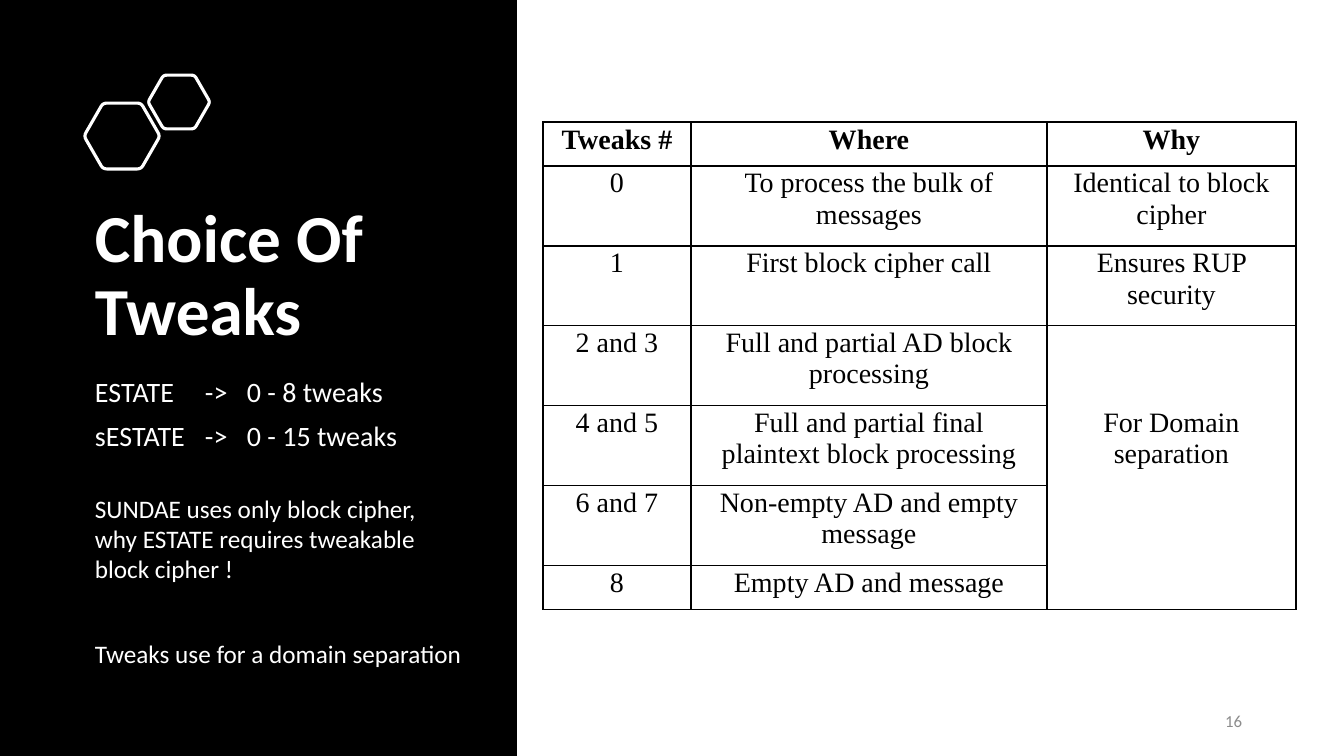
from dataclasses import dataclass
from math import cos, pi, sin

from lxml import etree
from pptx import Presentation
from pptx.dml.color import RGBColor
from pptx.enum.shapes import MSO_SHAPE
from pptx.enum.text import MSO_ANCHOR, PP_ALIGN
from pptx.oxml.ns import qn
from pptx.util import Pt

EMU_PER_PX = 914400 / 100.8
RECTANGLE = MSO_SHAPE.RECTANGLE
TOP, MIDDLE = MSO_ANCHOR.TOP, MSO_ANCHOR.MIDDLE
LEFT, CENTER, RIGHT = PP_ALIGN.LEFT, PP_ALIGN.CENTER, PP_ALIGN.RIGHT
WHITE, BLACK, GRAY = "FFFFFF", "000000", "8C8C8C"


@dataclass(frozen=True)
class Hexagon:
    center_x: int
    center_y: int
    radius: int


@dataclass(frozen=True)
class TextBlock:
    box: tuple[int, int, int, int]
    lines: tuple[str, ...]
    size: int
    color: str = WHITE
    bold: bool = False
    align: PP_ALIGN = LEFT
    anchor: MSO_ANCHOR = TOP
    wrap: bool = True
    line_spacing: float = 1.0
    before: int = 0
    tabs: tuple[int, ...] = ()


HEXAGONS = (Hexagon(122, 136, 38), Hexagon(179, 102, 31))

TEXT_BLOCKS = (
    TextBlock((85, 197, 395, 161), ("Choice Of Tweaks",), 48, bold=True,
              anchor=MIDDLE, line_spacing=0.9),
    TextBlock((85, 373, 395, 307),
              ("ESTATE\t->\t0 - 8 tweaks", "sESTATE\t->\t0 - 15 tweaks"), 20,
              line_spacing=0.9, before=10, tabs=(110, 152)),
    TextBlock((85, 488, 346, 102),
              ("SUNDAE uses only block cipher, why ESTATE requires tweakable block cipher !",), 18),
    TextBlock((85, 633, 397, 40), ("Tweaks use for a domain separation",), 18, wrap=False),
    TextBlock((950, 701, 302, 40), ("16",), 12, color=GRAY, align=RIGHT, anchor=MIDDLE),
)

TABLE_LEFT, TABLE_TOP = 543, 122
COLUMN_WIDTHS = (148, 356, 249)
SINGLE_ROW, DOUBLE_ROW = 44, 80
ROW_HEIGHTS = (SINGLE_ROW, *[DOUBLE_ROW] * 5, SINGLE_ROW)
TWEAK_ROWS = (
    ("Tweaks #", "Where", "Why"),
    ("0", "To process the bulk of messages", "Identical to block cipher"),
    ("1", "First block cipher call", "Ensures RUP security"),
    ("2 and 3", "Full and partial AD block processing", "For Domain separation"),
    ("4 and 5", "Full and partial final plaintext block processing", ""),
    ("6 and 7", "Non-empty AD and empty message", ""),
    ("8", "Empty AD and message", ""),
)
DOMAIN_ROW, WHY_COLUMN = 3, 2
CELL_MARGINS = (14, 2, 14, 0)
DOMAIN_MARGINS = (18, 82, 18, 9)


def px(length: float) -> int:
    return round(length * EMU_PER_PX)


def rgb(color: str) -> RGBColor:
    return RGBColor.from_string(color)


def write(frame, lines, *, size, font="Calibri", color=WHITE, bold=False, align=LEFT,
          line_spacing=1.0, before=0, after=0, tabs=()) -> None:
    for index, line in enumerate(lines):
        paragraph = frame.paragraphs[0] if index == 0 else frame.add_paragraph()
        paragraph.alignment = align
        paragraph.line_spacing = line_spacing
        paragraph.space_before, paragraph.space_after = Pt(before), Pt(after)
        if tabs:
            properties = paragraph._p.get_or_add_pPr()
            tab_list = etree.SubElement(properties, qn("a:tabLst"))
            for stop in tabs:
                etree.SubElement(tab_list, qn("a:tab"), pos=str(px(stop)), algn="l")
        run = paragraph.add_run()
        run.text = line
        run.font.name, run.font.size, run.font.bold = font, Pt(size), bold
        run.font.color.rgb = rgb(color)


def add_text_block(slide, block: TextBlock) -> None:
    frame = slide.shapes.add_textbox(*map(px, block.box)).text_frame
    frame.word_wrap = block.wrap
    frame.vertical_anchor = block.anchor
    write(frame, block.lines, size=block.size, color=block.color, bold=block.bold,
          align=block.align, line_spacing=block.line_spacing, before=block.before,
          tabs=block.tabs)


def add_side_panel(slide) -> None:
    panel = slide.shapes.add_shape(RECTANGLE, 0, 0, px(517), px(756))
    panel.shadow.inherit = False
    panel.fill.solid()
    panel.fill.fore_color.rgb = rgb(BLACK)
    panel.line.fill.background()


def rounded_outline(hexagon: Hexagon) -> list[tuple[int, int]]:
    """Return hexagon points in EMU, each corner replaced by a short curve."""
    corners = [(hexagon.center_x + hexagon.radius * cos(k * pi / 3),
                hexagon.center_y + hexagon.radius * sin(k * pi / 3)) for k in range(6)]
    cut, steps = 0.1, 4
    points = []
    for k, corner in enumerate(corners):
        previous, following = corners[k - 1], corners[(k + 1) % 6]
        for step in range(steps + 1):
            t = step / steps
            toward_previous, toward_following = cut * (1 - t) ** 2, cut * t ** 2
            points.append(tuple(
                px(c + toward_previous * (p - c) + toward_following * (f - c))
                for p, c, f in zip(previous, corner, following)))
    return points


def add_hexagon(slide, hexagon: Hexagon) -> None:
    start, *rest = rounded_outline(hexagon)
    builder = slide.shapes.build_freeform(*start, scale=1.0)
    builder.add_line_segments(rest, close=True)
    outline = builder.convert_to_shape()
    outline.shadow.inherit = False
    outline.fill.background()
    outline.line.color.rgb = rgb(WHITE)
    outline.line.width = Pt(2.25)


def add_borders(cell) -> None:
    properties = cell._tc.get_or_add_tcPr()
    for side in ("lnL", "lnR", "lnT", "lnB"):
        border = etree.SubElement(properties, qn(f"a:{side}"), w=str(Pt(1)))
        fill = etree.SubElement(border, qn("a:solidFill"))
        etree.SubElement(fill, qn("a:srgbClr"), val=BLACK)


def add_tweak_table(slide) -> None:
    table = slide.shapes.add_table(
        len(TWEAK_ROWS), len(COLUMN_WIDTHS), px(TABLE_LEFT), px(TABLE_TOP),
        px(sum(COLUMN_WIDTHS)), px(sum(ROW_HEIGHTS))).table
    table.first_row = table.horz_banding = False
    for column, width in zip(table.columns, COLUMN_WIDTHS):
        column.width = px(width)
    for row, height in zip(table.rows, ROW_HEIGHTS):
        row.height = px(height)
    table.cell(DOMAIN_ROW, WHY_COLUMN).merge(table.cell(len(TWEAK_ROWS) - 1, WHY_COLUMN))
    for row_index, texts in enumerate(TWEAK_ROWS):
        for column_index, text in enumerate(texts):
            cell = table.cell(row_index, column_index)
            add_borders(cell)
            cell.fill.background()
            if cell.is_spanned:
                continue
            margins = DOMAIN_MARGINS if cell.is_merge_origin else CELL_MARGINS
            (cell.margin_left, cell.margin_top,
             cell.margin_right, cell.margin_bottom) = map(px, margins)
            write(cell.text_frame, (text,), size=20, font="Times New Roman", color=BLACK,
                  bold=row_index == 0, align=CENTER, before=3, after=3)


def main() -> None:
    presentation = Presentation()
    presentation.slide_width, presentation.slide_height = px(1344), px(756)
    slide = presentation.slides.add_slide(presentation.slide_layouts[6])
    add_side_panel(slide)
    for hexagon in HEXAGONS:
        add_hexagon(slide, hexagon)
    add_tweak_table(slide)
    for block in TEXT_BLOCKS:
        add_text_block(slide, block)
    presentation.save("out.pptx")


if __name__ == "__main__":
    main()
